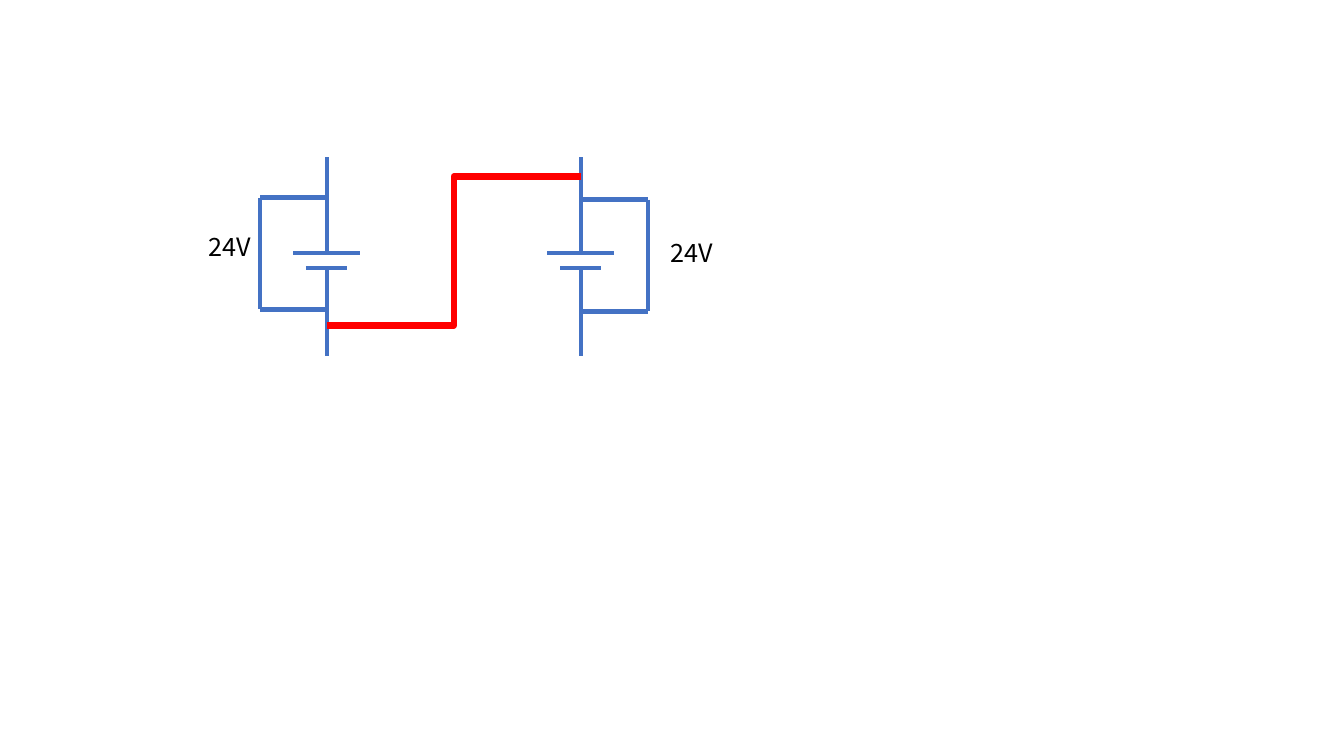
import pptx
import pptx.dml.color
import pptx.enum.shapes
import pptx.enum.text
import pptx.oxml.xmlchemy
import pptx.util

CONNECTOR = pptx.enum.shapes.MSO_CONNECTOR


def colour(hex_string):
    return pptx.dml.color.RGBColor.from_string(hex_string)


class Circuit:
    """Draws on one slide; lengths are columns and rows of a 0.1 inch grid."""

    cell = 0.1
    font = "Noto Sans CJK SC"
    text_size = 18
    text_colour = "000000"
    wire_colour = "4472C4"
    wire_width = 3
    link_colour = "FF0000"
    link_width = 4.5

    def __init__(self, slide):
        self.slide = slide

    def grid(self, *cells):
        return [pptx.util.Inches(count * self.cell) for count in cells]

    def connect(self, kind, start, end, line_colour, width):
        connector = self.slide.shapes.add_connector(kind, *self.grid(*start, *end))
        connector.line.color.rgb = colour(line_colour)
        connector.line.width = pptx.util.Pt(width)
        properties = connector._element.spPr
        properties.append(pptx.oxml.xmlchemy.OxmlElement("a:effectLst"))

    def wire(self, start, end):
        self.connect(CONNECTOR.STRAIGHT, start, end, self.wire_colour, self.wire_width)

    def link(self, start, end):
        self.connect(CONNECTOR.ELBOW, start, end, self.link_colour, self.link_width)

    def battery(self, axis):
        """Two leads and two plates, centred on the column axis."""
        for plate, half_width, lead_end in ((25.1, 3.3, 15.6), (26.6, 2.05, 35.3)):
            self.wire((axis, plate), (axis, lead_end))
            self.wire((axis - half_width, plate), (axis + half_width, plate))

    def bracket(self, axis, reach, top, height=11.1):
        """Measuring wires from the battery axis out to one side."""
        outer = axis + reach
        bottom = top + height
        for row in (top, bottom):
            self.wire((axis, row), (outer, row))
        self.wire((outer, top), (outer, bottom))

    def label(self, text, left, top, width=10, height=4):
        box = self.slide.shapes.add_textbox(*self.grid(left, top, width, height))
        frame = box.text_frame
        frame.word_wrap = True
        frame.auto_size = pptx.enum.text.MSO_AUTO_SIZE.SHAPE_TO_FIT_TEXT
        frame.text = text
        font = frame.paragraphs[0].runs[0].font
        font.name = self.font
        font.size = pptx.util.Pt(self.text_size)
        font.color.rgb = colour(self.text_colour)


def main():
    presentation = pptx.Presentation()
    presentation.slide_width = pptx.util.Inches(13.33)
    presentation.slide_height = pptx.util.Inches(7.5)
    circuit = Circuit(presentation.slides.add_slide(presentation.slide_layouts[6]))

    left_axis, right_axis = 32.4, 57.6
    for axis, reach, bracket_top, label_left, label_top in (
        (left_axis, -6.6, 19.6, 19.7, 22.5),
        (right_axis, 6.7, 19.8, 65.5, 23.1),
    ):
        circuit.battery(axis)
        circuit.bracket(axis, reach, bracket_top)
        circuit.label("24V", label_left, label_top)
    circuit.link((right_axis, 17.5), (left_axis, 32.3))

    presentation.save("out.pptx")


if __name__ == "__main__":
    main()
